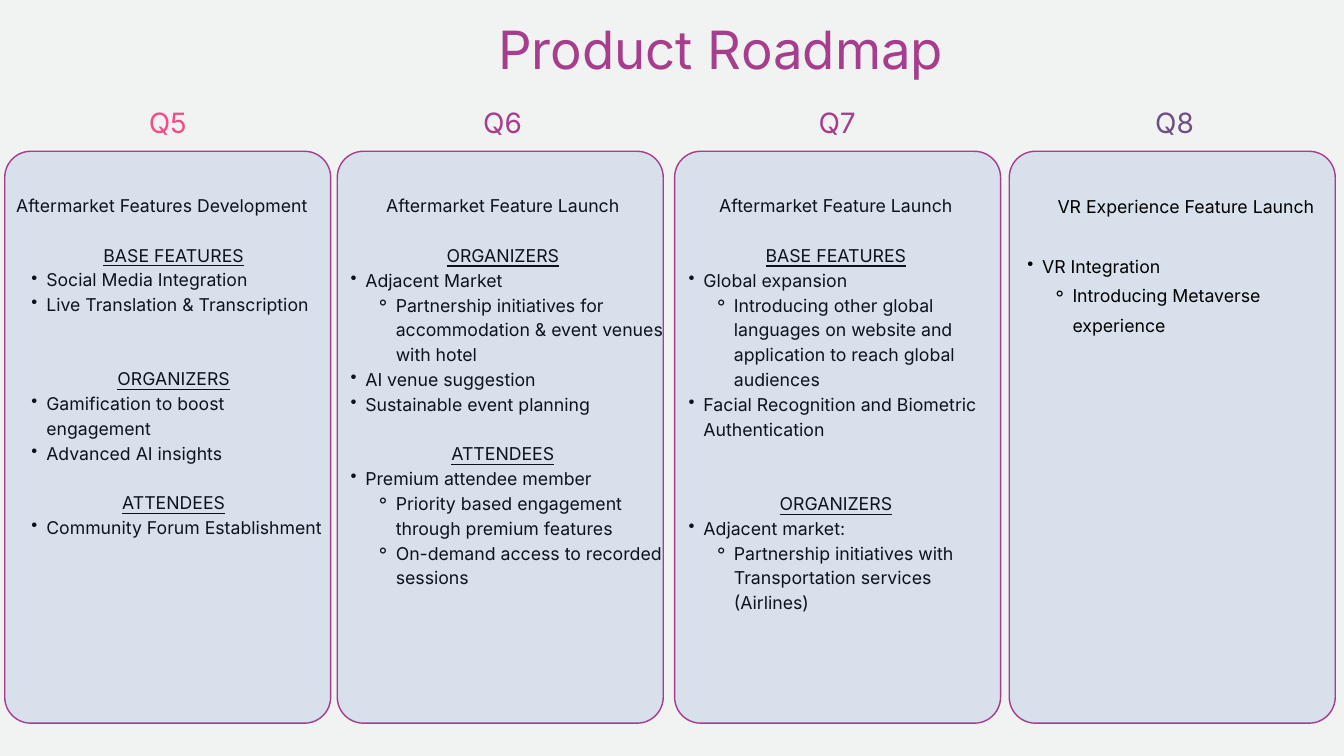
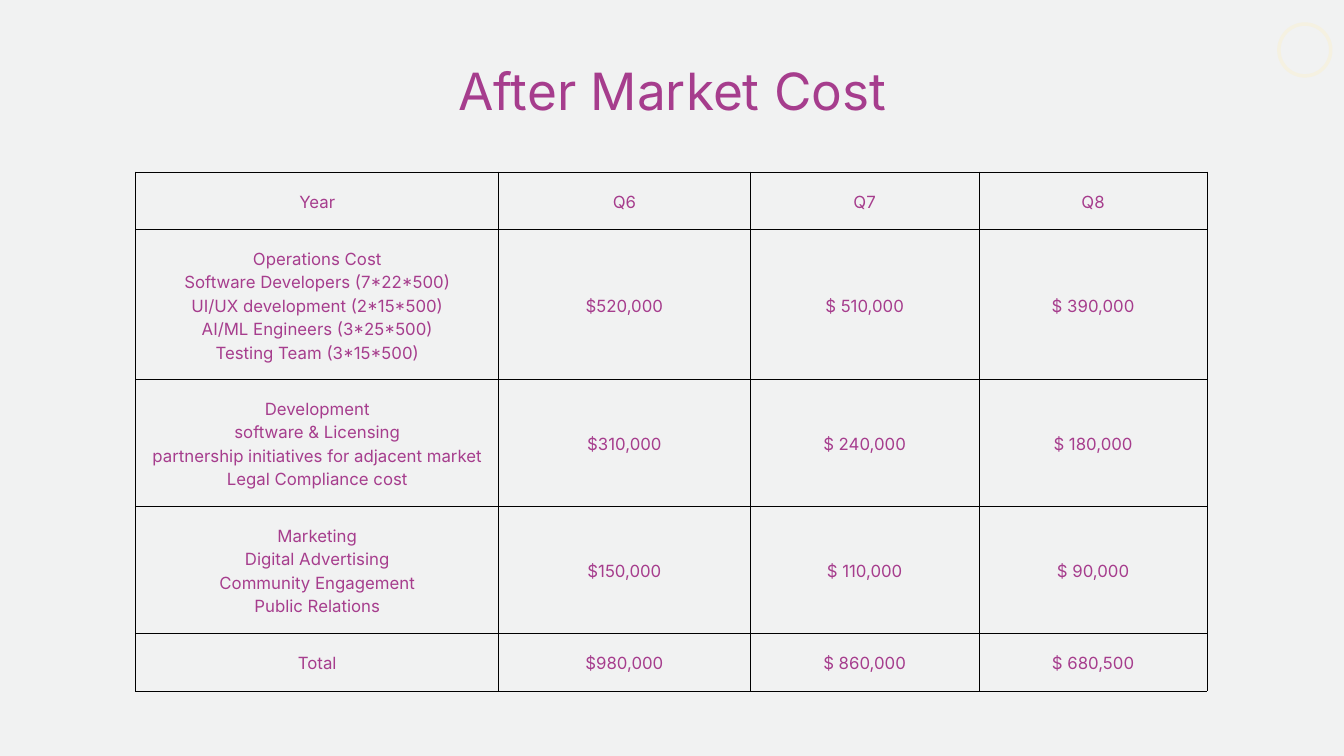
"""Build the two slides on the product roadmap and its after-market cost."""
from lxml import etree
from pptx import Presentation
from pptx.dml.color import RGBColor
from pptx.enum.shapes import MSO_SHAPE
from pptx.enum.text import MSO_ANCHOR, MSO_AUTO_SIZE, PP_ALIGN
from pptx.oxml.ns import qn
from pptx.util import Cm, Pt

LEFT, CENTER, RIGHT = PP_ALIGN.LEFT, PP_ALIGN.CENTER, PP_ALIGN.RIGHT
TOP, MIDDLE = MSO_ANCHOR.TOP, MSO_ANCHOR.MIDDLE
NO_AUTOSIZE = MSO_AUTO_SIZE.NONE
ROUNDED, OVAL = MSO_SHAPE.ROUNDED_RECTANGLE, MSO_SHAPE.OVAL

FONT = "Inter"
TITLE_ONLY = 5
COLORS = {
    "page": "F1F2F2", "card": "D7E0EB", "purple": "A63D8D", "pink": "F34C88",
    "violet": "704E85", "ink": "0A131E", "black": "000000", "ring": "F5F1E1",
}
BULLETS = {1: ("•", 1.14, -0.56), 2: ("⚬", 2.29, -0.76)}

# Each item is (level, text, blank lines before); level 0 is a section heading.
QUARTERS = [
    {
        "name": "Q5", "color": "pink", "card_x": 0.18, "name_x": 2.08,
        "box": (0.61, 7.24, 11.91, 18.49), "size": 18.9, "line": 26.5, "ink": "ink",
        "theme": "Aftermarket Features Development", "align": LEFT,
        "items": [
            (0, "BASE FEATURES", 1),
            (1, "Social Media Integration", 0),
            (1, "Live Translation & Transcription", 0),
            (0, "ORGANIZERS", 2),
            (1, "Gamification to boost engagement", 0),
            (1, "Advanced AI insights", 0),
            (0, "ATTENDEES", 1),
            (1, "Community Forum Establishment", 0),
        ],
    },
    {
        "name": "Q6", "color": "purple", "card_x": 12.75, "name_x": 14.73,
        "box": (12.67, 7.24, 12.67, 14.78), "size": 19, "line": 26.6, "ink": "ink",
        "theme": "Aftermarket Feature Launch", "align": CENTER,
        "items": [
            (0, "ORGANIZERS", 1),
            (1, "Adjacent Market", 0),
            (2, "Partnership initiatives for accommodation & event venues with hotel", 0),
            (1, "AI venue suggestion", 0),
            (1, "Sustainable event planning", 0),
            (0, "ATTENDEES", 1),
            (1, "Premium attendee member", 0),
            (2, "Priority based engagement through premium features", 0),
            (2, "On-demand access to recorded sessions", 0),
        ],
    },
    {
        "name": "Q7", "color": "purple", "card_x": 25.5, "name_x": 27.38,
        "box": (25.45, 7.24, 12.29, 17.55), "size": 19, "line": 26.6, "ink": "ink",
        "theme": "Aftermarket Feature Launch", "align": CENTER,
        "items": [
            (0, "BASE FEATURES", 1),
            (1, "Global expansion", 0),
            (2, "Introducing other global languages on website and "
                "application to reach global audiences", 0),
            (1, "Facial Recognition and Biometric Authentication", 0),
            (0, "ORGANIZERS", 2),
            (1, "Adjacent market:", 0),
            (2, "Partnership initiatives with Transportation services (Airlines)", 0),
        ],
    },
    {
        "name": "Q8", "color": "violet", "card_x": 38.15, "name_x": 40.13,
        "box": (38.25, 7.06, 11.43, 8.81), "size": 19, "line": 32.1, "ink": "black",
        "theme": "VR Experience Feature Launch", "align": RIGHT,
        "items": [
            (1, "VR Integration", 1),
            (2, "Introducing Metaverse experience", 0),
        ],
    },
]

COSTS = [
    (["Year"], "Q6", "Q7", "Q8"),
    (["Operations Cost", "Software Developers (7*22*500)", "UI/UX development (2*15*500)",
      "AI/ML Engineers (3*25*500)", "Testing Team (3*15*500)"],
     "$520,000", "$ 510,000", "$ 390,000"),
    (["Development", "software & Licensing", "partnership initiatives for adjacent market",
      "Legal Compliance cost"],
     "$310,000", "$ 240,000", "$ 180,000"),
    (["Marketing", "Digital Advertising", "Community Engagement", "Public Relations"],
     "$150,000", "$ 110,000", "$ 90,000"),
    (["Total"], "$980,000", "$ 860,000", "$ 680,500"),
]
COST_COLS = (13.72, 9.5, 8.66, 8.61)
COST_ROWS = (2.18, 5.66, 4.8, 4.8, 2.18)


def rgb(name):
    return RGBColor.from_string(COLORS[name])


def cms(*values):
    return [Cm(v) for v in values]


def style(p, size, line, color, align=CENTER, underline=None):
    p.alignment = align
    p.line_spacing = Pt(line)
    for r in p.runs:
        r.font.name = FONT
        r.font.size = Pt(size)
        r.font.color.rgb = rgb(color)
        r.font.underline = underline


def prepare(tf):
    tf.auto_size = NO_AUTOSIZE
    tf.word_wrap = True
    tf.vertical_anchor = TOP
    tf.margin_left = tf.margin_top = tf.margin_right = tf.margin_bottom = 0
    return tf


def add_text(slide, box, text, size, line, color, align=CENTER):
    tf = prepare(slide.shapes.add_textbox(*cms(*box)).text_frame)
    tf.text = text
    style(tf.paragraphs[0], size, line, color, align)
    return tf


def add_slide(prs, title, box, size, line):
    slide = prs.slides.add_slide(prs.slide_layouts[TITLE_ONLY])
    sp = slide.shapes.title
    sp.left, sp.top, sp.width, sp.height = cms(*box)
    tf = prepare(sp.text_frame)
    tf.text = title
    style(tf.paragraphs[0], size, line, "purple")
    return slide


def add_outline(slide, kind, box, line, width, fill=None):
    sp = slide.shapes.add_shape(kind, *cms(*box))
    sp.shadow.inherit = False
    if fill:
        sp.fill.solid()
        sp.fill.fore_color.rgb = rgb(fill)
    else:
        sp.fill.background()
    sp.line.color.rgb = rgb(line)
    sp.line.width = Pt(width)
    return sp


def add_bullet(p, level):
    char, margin, indent = BULLETS[level]
    p.level = level
    pPr = p._p.get_or_add_pPr()
    pPr.set("marL", str(Cm(margin)))
    pPr.set("indent", str(Cm(indent)))
    etree.SubElement(pPr, qn("a:buChar")).set("char", char)


def add_quarter(slide, q):
    card = add_outline(slide, ROUNDED, (q["card_x"], 5.72, 12.32, 21.62), "purple", 1.5, "card")
    card.adjustments[0] = 0.08
    add_text(slide, (q["name_x"], 3.78, 8.53, 1.37), q["name"], 30, 42, q["color"])
    tf = add_text(slide, q["box"], q["theme"], q["size"], q["line"], q["ink"], q["align"])
    for level, text, gap in q["items"]:
        p = tf.add_paragraph()
        p.text = text
        if level:
            add_bullet(p, level)
        style(p, q["size"], q["line"], q["ink"], LEFT if level else CENTER, level == 0)
        if gap:
            p.space_before = Pt(gap * q["line"])


def add_borders(cell, color, width):
    tcPr = cell._tc.get_or_add_tcPr()
    for i, side in enumerate(("lnL", "lnR", "lnT", "lnB")):
        ln = etree.Element(qn(f"a:{side}"), w=str(Pt(width)))
        fill = etree.SubElement(ln, qn("a:solidFill"))
        etree.SubElement(fill, qn("a:srgbClr"), val=COLORS[color])
        tcPr.insert(i, ln)


def add_cost_table(slide):
    box = cms(5.13, 6.5, sum(COST_COLS), sum(COST_ROWS))
    table = slide.shapes.add_table(len(COST_ROWS), len(COST_COLS), *box).table
    table.first_row = table.horz_banding = False
    for col, width in zip(table.columns, COST_COLS):
        col.width = Cm(width)
    for row, height, (lines, *amounts) in zip(table.rows, COST_ROWS, COSTS):
        row.height = Cm(height)
        for cell, text in zip(row.cells, ["\n".join(lines), *amounts]):
            cell.text = text
            cell.vertical_anchor = MIDDLE
            cell.margin_left = cell.margin_right = Cm(0.53)
            cell.margin_top = cell.margin_bottom = Cm(0.53)
            cell.fill.background()
            add_borders(cell, "black", 0.75)
            for p in cell.text_frame.paragraphs:
                style(p, 18, 25.2, "purple")


def main():
    prs = Presentation()
    prs.slide_width, prs.slide_height = cms(50.8, 28.58)
    background = prs.slide_master.background.fill
    background.solid()
    background.fore_color.rgb = rgb("page")

    roadmap = add_slide(prs, "Product Roadmap", (14.71, 0.25, 25.07, 2.69), 56.5, 79.1)
    for q in QUARTERS:
        add_quarter(roadmap, q)

    cost = add_slide(prs, "After Market Cost", (4.09, 1.85, 42.65, 2.57), 55, 77)
    add_outline(cost, OVAL, (48.34, 0.91, 1.96, 1.96), "ring", 3.75)
    add_cost_table(cost)

    prs.save("out.pptx")


if __name__ == "__main__":
    main()
